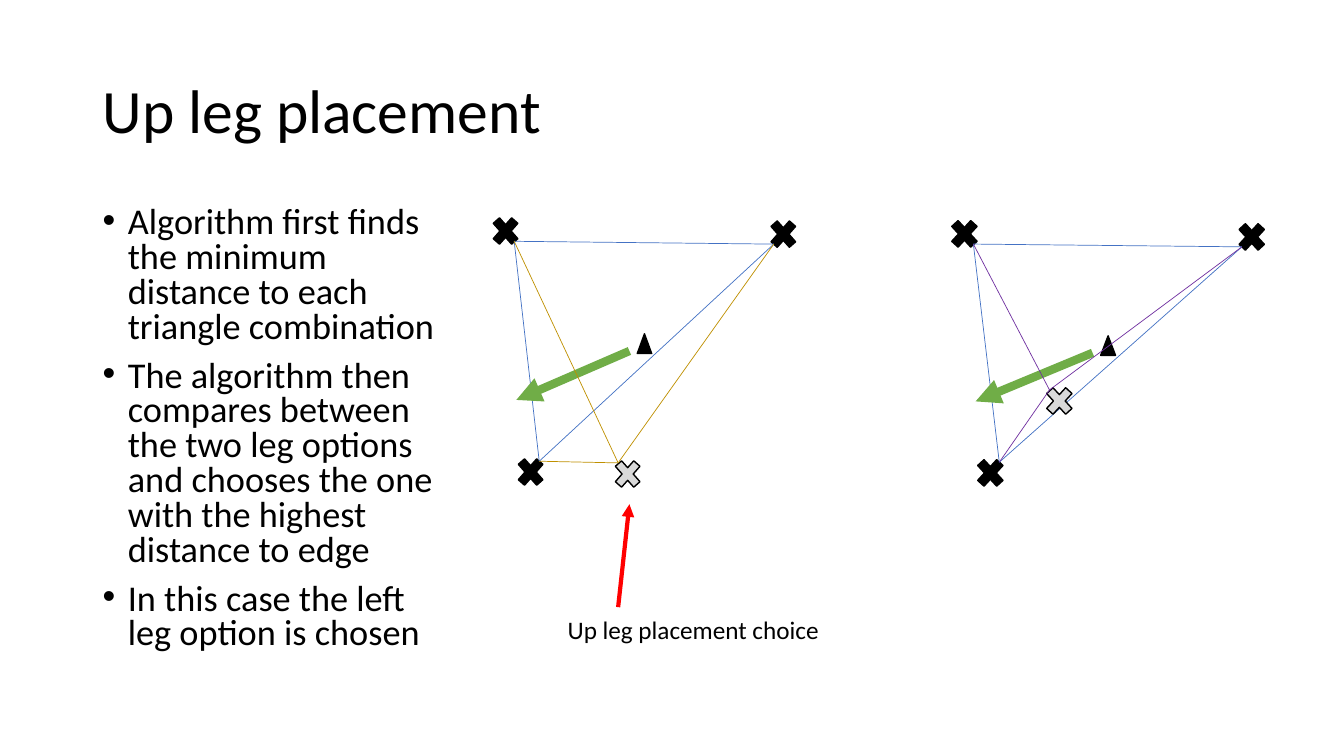
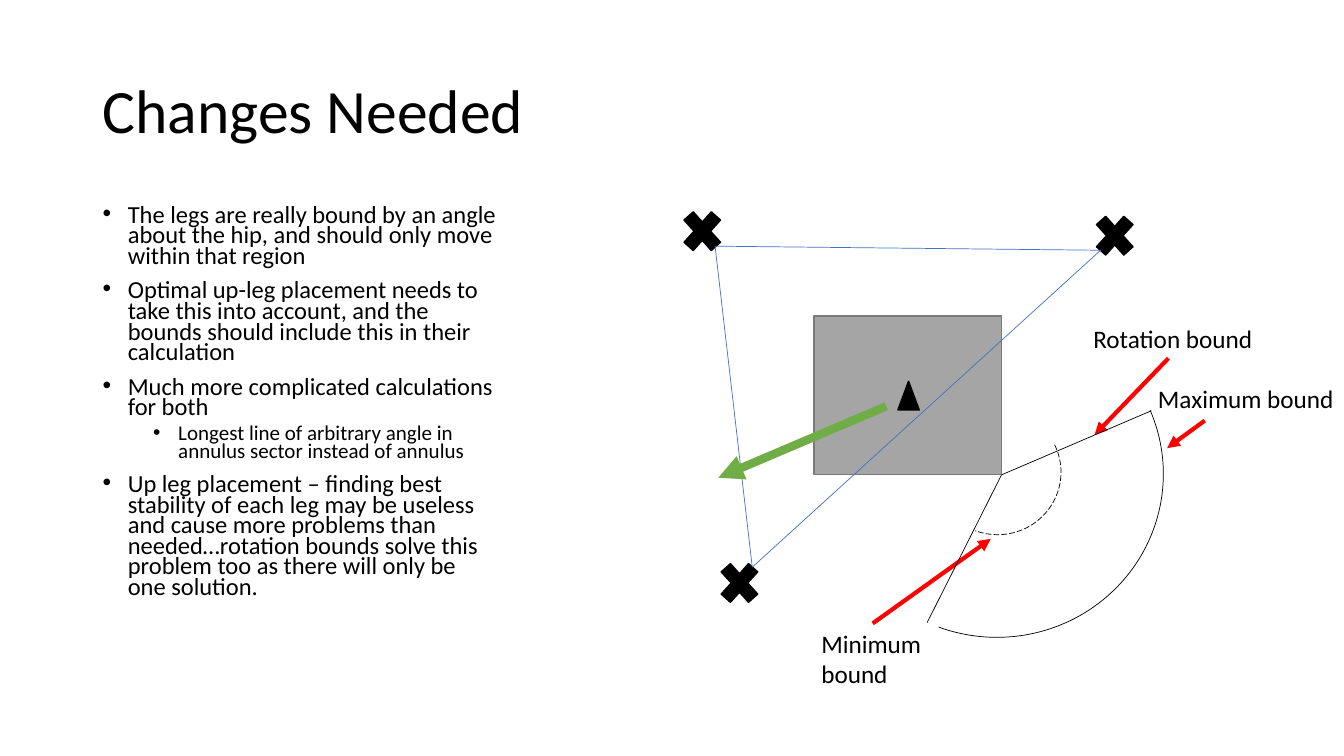
from dataclasses import dataclass
from itertools import combinations

from lxml import etree
from pptx import Presentation
from pptx.dml.color import RGBColor
from pptx.enum.dml import MSO_LINE
from pptx.enum.shapes import MSO_CONNECTOR, MSO_SHAPE
from pptx.enum.text import MSO_ANCHOR
from pptx.oxml.ns import qn
from pptx.util import Inches, Pt

STRAIGHT = MSO_CONNECTOR.STRAIGHT
CROSS = MSO_SHAPE.MATH_MULTIPLY
PEAK = MSO_SHAPE.ISOSCELES_TRIANGLE
RECT = MSO_SHAPE.RECTANGLE
ARC = MSO_SHAPE.ARC
DASH = MSO_LINE.LONG_DASH
MIDDLE = MSO_ANCHOR.MIDDLE
TOP = MSO_ANCHOR.TOP


@dataclass(frozen=True)
class Theme:
    font: str = "Calibri"
    black: str = "000000"
    blue: str = "4472C4"
    green: str = "70AD47"
    gold: str = "BF9000"
    purple: str = "7030A0"
    red: str = "FF0000"
    pale: str = "D9D9D9"
    gray: str = "A5A5A5"
    edge: str = "7A7A7A"
    title: float = 44
    label: float = 18
    thin: float = 0.5
    rim: float = 1
    bold: float = 3
    heavy: float = 6


@dataclass(frozen=True)
class Box:
    x: float
    y: float
    w: float
    h: float

    def spot(self, x, y):
        return self.x + self.w * x / 100, self.y + self.h * y / 100

    def area(self, x, y, w, h):
        return Box(*self.spot(x, y), self.w * w / 100, self.h * h / 100)

    def place(self):
        return [Inches(v) for v in (self.x, self.y, self.w, self.h)]


LOOK = Theme()
PAGE = Box(0, 0, 13.33, 7.5)
FOOT = (11.3, 14.3)
FEET = [(0, 0), (8, 85.7), (88.7, 1.1)]
JOINTS = [(8.4, 10.8), (16.4, 89), (91.3, 11.8)]
HIP = (70, 66.5)


def ink(color):
    return RGBColor.from_string(color)


def shape(slide, kind, box, fill=None, line=LOOK.black, width=LOOK.rim):
    item = slide.shapes.add_shape(kind, *box.place())
    item.shadow.inherit = False
    if fill:
        item.fill.solid()
        item.fill.fore_color.rgb = ink(fill)
    else:
        item.fill.background()
    item.line.color.rgb = ink(line)
    item.line.width = Pt(width)
    return item


def line(slide, box, start, end, color, width=LOOK.thin, arrow=False):
    ends = [Inches(v) for v in box.spot(*start) + box.spot(*end)]
    item = slide.shapes.add_connector(STRAIGHT, *ends)
    item.line.color.rgb = ink(color)
    item.line.width = Pt(width)
    props = item._element.spPr
    if arrow:
        etree.SubElement(props.find(qn("a:ln")), qn("a:tailEnd"), type="triangle")
    etree.SubElement(props, qn("a:effectLst"))


def style(para, size):
    para.font.name = LOOK.font
    para.font.size = Pt(size)
    para.font.color.rgb = ink(LOOK.black)


def text(slide, box, words, size, wrap=True, anchor=TOP):
    frame = slide.shapes.add_textbox(*box.place()).text_frame
    frame.word_wrap = wrap
    frame.vertical_anchor = anchor
    para = frame.paragraphs[0]
    para.text = words
    style(para, size)
    return para


def bullets(slide, box, items, sizes, space):
    frame = slide.shapes.add_textbox(*box.place()).text_frame
    frame.word_wrap = True
    for i, (level, words) in enumerate(items):
        para = frame.add_paragraph() if i else frame.paragraphs[0]
        para.text = words
        para.level = level
        para.line_spacing = space
        para.space_before = Pt(5 if level else 10)
        props = para._p.get_or_add_pPr()
        props.set("marL", str(Inches(0.25 + 0.5 * level)))
        props.set("indent", str(Inches(-0.25)))
        etree.SubElement(props, qn("a:buFont"), typeface="Arial")
        etree.SubElement(props, qn("a:buChar"), char="•")
        style(para, sizes[level])


def page(deck, title, width, items, sizes, space):
    slide = deck.slides.add_slide(deck.slide_layouts[6])
    head = text(slide, PAGE.area(6.9, 5.3, 86.3, 19.3), title, LOOK.title, anchor=MIDDLE)
    head.line_spacing = 0.9
    bullets(slide, PAGE.area(6.9, 26.7, width, 63.5), items, sizes, space)
    return slide


def tripod(slide, box):
    for foot in FEET:
        shape(slide, CROSS, box.area(*foot, *FOOT), LOOK.black)
    for start, end in combinations(JOINTS, 2):
        line(slide, box, start, end, LOOK.blue)
    shape(slide, PEAK, box.area(47.7, 43.7, 4.6, 7), LOOK.black)
    line(slide, box, (45.2, 49.8), (9.1, 67.2), LOOK.green, LOOK.heavy, True)


def option(slide, box, x, y, color):
    tripod(slide, box)
    shape(slide, CROSS, box.area(x, y, *FOOT), LOOK.pale)
    for joint in JOINTS:
        line(slide, box, (x + 2.6, y + 3.2), joint, color)


def note(slide, box, words, area, start, end, wrap=False):
    text(slide, box.area(*area), words, LOOK.label, wrap)
    line(slide, box, start, end, LOOK.red, LOOK.bold, True)


def sector(slide, box):
    arcs = [((33.2, 26.5, 71.6, 79.6), 337.4, None),
            ((55.5, 50.6, 27.3, 30.5), 334.3, DASH)]
    for area, start, dash in arcs:
        arc = shape(slide, ARC, box.area(*area), width=LOOK.thin)
        for i, angle in enumerate((start, 110.8)):
            arc.adjustments[i] = angle * 0.6
        if dash:
            arc.line.dash_style = dash
    for end in ((54, 102.5), (102.2, 50.9)):
        line(slide, box, HIP, end, LOOK.black)


def choice(deck):
    items = [
        (0, "Algorithm first finds the minimum distance to each triangle combination"),
        (0, "The algorithm then compares between the two leg options and chooses "
            "the one with the highest distance to edge"),
        (0, "In this case the left leg option is chosen"),
    ]
    slide = page(deck, "Up leg placement", 27.6, items, (25.9,), 0.8)
    left = PAGE.area(36.3, 27.9, 23.3, 37.2)
    option(slide, left, 39, 86.4, LOOK.gold)
    option(slide, PAGE.area(70.4, 28.3, 24.1, 36.9), 29.3, 59.9, LOOK.purple)
    note(slide, left, "Up leg placement choice", (22.3, 141.6, 88, 14.3),
         (41.6, 140.9), (45.2, 104.3))


def changes(deck):
    items = [
        (0, "The legs are really bound by an angle about the hip, and should only "
            "move within that region"),
        (0, "Optimal up-leg placement needs to take this into account, and the "
            "bounds should include this in their calculation"),
        (0, "Much more complicated calculations for both"),
        (1, "Longest line of arbitrary angle in annulus sector instead of annulus"),
        (0, "Up leg placement – finding best stability of each leg may be useless "
            "and cause more problems than needed…rotation bounds solve this "
            "problem too as there will only be one solution."),
    ]
    slide = page(deck, "Changes Needed", 30.8, items, (17.5, 15), 0.7)
    box = PAGE.area(50.3, 26.7, 34.6, 54.3)
    shape(slide, RECT, box.area(29.7, 27.8, 40.3, 38.6), LOOK.gray, LOOK.edge)
    tripod(slide, box)
    note(slide, box, "Maximum bound", (101.5, 43, 42.5, 9.8), (113.7, 53.3), (105.6, 60))
    note(slide, box, "Minimum bound", (29.1, 102.7, 26.2, 17.4),
         (42.3, 102.7), (67.7, 82.1), True)
    note(slide, box, "Rotation bound", (87.6, 28.5, 39, 9.8), (105.9, 38.1), (90, 56.8))
    sector(slide, box)


def main():
    deck = Presentation()
    deck.slide_width = Inches(PAGE.w)
    deck.slide_height = Inches(PAGE.h)
    choice(deck)
    changes(deck)
    deck.save("out.pptx")


if __name__ == "__main__":
    main()
